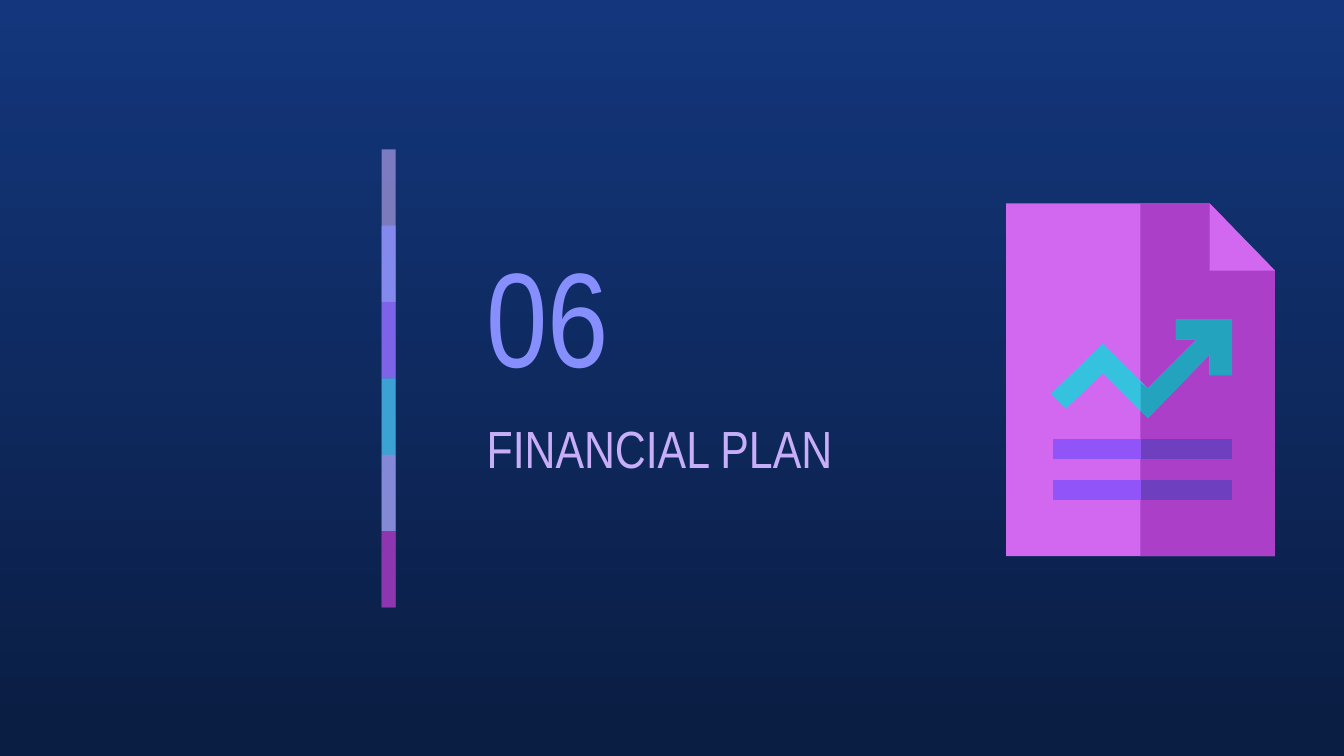
from lxml.etree import SubElement
from pptx import Presentation
from pptx.dml.color import RGBColor
from pptx.enum.shapes import MSO_SHAPE as Shape
from pptx.enum.text import MSO_ANCHOR as Anchor, MSO_AUTO_SIZE as AutoSize, PP_ALIGN as Align
from pptx.oxml.ns import qn
from pptx.util import Pt

NUMBER = "06"
TITLE = "FINANCIAL PLAN"
FONT = "Arial Narrow"
COLORS = {
    "sky": "13367C", "night": "0A1D42", "periwinkle": "878FFF",
    "lilac": "C8AEF8", "violet": "9154F8", "violet_dark": "6E3FBE",
    "pink": "D268EF", "pink_dark": "AB3FC8", "orchid": "CA7BEB",
    "teal": "35C2DF", "teal_dark": "24A3BE", "plum": "972CB4",
}
BANDS = [("lilac", 59), ("periwinkle", 74), ("violet", 53),
         ("teal", 76), ("orchid", 56), ("plum", 74)]
BAND_LEFT, BAND_TOP, BAND_WIDTH, BAND_STEP = 204.5, 80, 7.5, 40.9

LEFT, MIDDLE, RIGHT = 539.1, 611.3, 683.1
TOP, BOTTOM = 108.9, 298.2
FOLD_X, FOLD_Y = 648.2, 144.7
LINE_LEFT, LINE_RIGHT, LINE_HEIGHT = 563.6, 659.5, 11
LINE_TOPS = [235, 257.2]
ARROW_HEAD = [(648.2, 190.2), (648.2, 200.8), (659.5, 200.8), (659.5, 171),
              (629.5, 171), (629.5, 182.2), (640.6, 182.2), (614.7, 208.2)]
ARROW_TAIL = [(590.6, 184), (563.4, 211.2), (571, 218.9), (590.6, 199.7)]
ARROW_TIP = (614.7, 223.7)
ARROW_CUT = [(MIDDLE, 204.9), (MIDDLE, 220.4)]


def rgb(name):
    return RGBColor.from_string(COLORS[name])


def paint(shape, color):
    shape.shadow.inherit = False
    shape.fill.solid()
    shape.fill.fore_color.rgb = rgb(color)
    shape.line.fill.background()


def add_polygon(group, points, color):
    builder = group.shapes.build_freeform(*points[0], scale=Pt(1))
    builder.add_line_segments(points[1:], close=True)
    paint(builder.convert_to_shape(), color)


def add_sheet(group, left, color):
    add_polygon(group, [(left, TOP), (left, BOTTOM), (RIGHT, BOTTOM),
                        (RIGHT, FOLD_Y), (FOLD_X, TOP)], color)


def add_line(group, left, top, color):
    bottom = top + LINE_HEIGHT
    add_polygon(group, [(left, top), (left, bottom),
                        (LINE_RIGHT, bottom), (LINE_RIGHT, top)], color)


def write(box, text, bounds, size, color, anchor):
    box.left, box.top, box.width, box.height = map(Pt, bounds)
    frame = box.text_frame
    frame.word_wrap = True
    frame.auto_size = AutoSize.NONE
    frame.vertical_anchor = anchor
    frame.margin_left = frame.margin_right = Pt(7.2)
    frame.margin_top = frame.margin_bottom = Pt(7.2)
    para = frame.paragraphs[0]
    para.alignment = Align.LEFT
    para.line_spacing = 1
    span = para.add_run()
    span.text = text
    span.font.name = FONT
    span.font.size = Pt(size)
    span.font.color.rgb = rgb(color)


def main():
    deck = Presentation()
    deck.slide_width, deck.slide_height = Pt(720), Pt(405)
    page = deck.slides.add_slide(deck.slide_layouts[5])

    backdrop = page.background.fill
    backdrop.gradient()
    backdrop.gradient_angle = 270
    for stop, color, position in zip(backdrop.gradient_stops, ("sky", "night"), (0, 1)):
        stop.color.rgb = rgb(color)
        stop.position = position

    number = page.shapes.add_textbox(0, 0, 0, 0)
    write(number, NUMBER, (253.5, 119.5, 126, 97.2), 72, "periwinkle", Anchor.MIDDLE)
    write(page.shapes.title, TITLE, (253.5, 216, 206.6, 69), 28, "lilac", Anchor.TOP)

    document = page.shapes.add_group_shape()
    add_sheet(document, LEFT, "pink")
    add_sheet(document, MIDDLE, "pink_dark")
    add_polygon(document, [(FOLD_X, TOP), (FOLD_X, FOLD_Y), (RIGHT, FOLD_Y)], "pink")
    add_polygon(document, ARROW_HEAD + ARROW_TAIL + [ARROW_TIP], "teal")
    add_polygon(document, ARROW_HEAD + ARROW_CUT + [ARROW_TIP], "teal_dark")
    for top in LINE_TOPS:
        add_line(document, LINE_LEFT, top, "violet")
        add_line(document, MIDDLE, top, "violet_dark")

    stripe = page.shapes.add_group_shape()
    for index, (color, opacity) in enumerate(BANDS):
        steps = min(2, len(BANDS) - index)
        band = stripe.shapes.add_shape(
            Shape.RECTANGLE, Pt(BAND_LEFT), Pt(BAND_TOP + index * BAND_STEP),
            Pt(BAND_WIDTH), Pt(steps * BAND_STEP))
        paint(band, color)
        tint = band.fill._xPr.find(qn("a:solidFill"))[0]
        SubElement(tint, qn("a:alpha"), val=str(opacity * 1000))

    deck.save("out.pptx")


if __name__ == "__main__":
    main()
